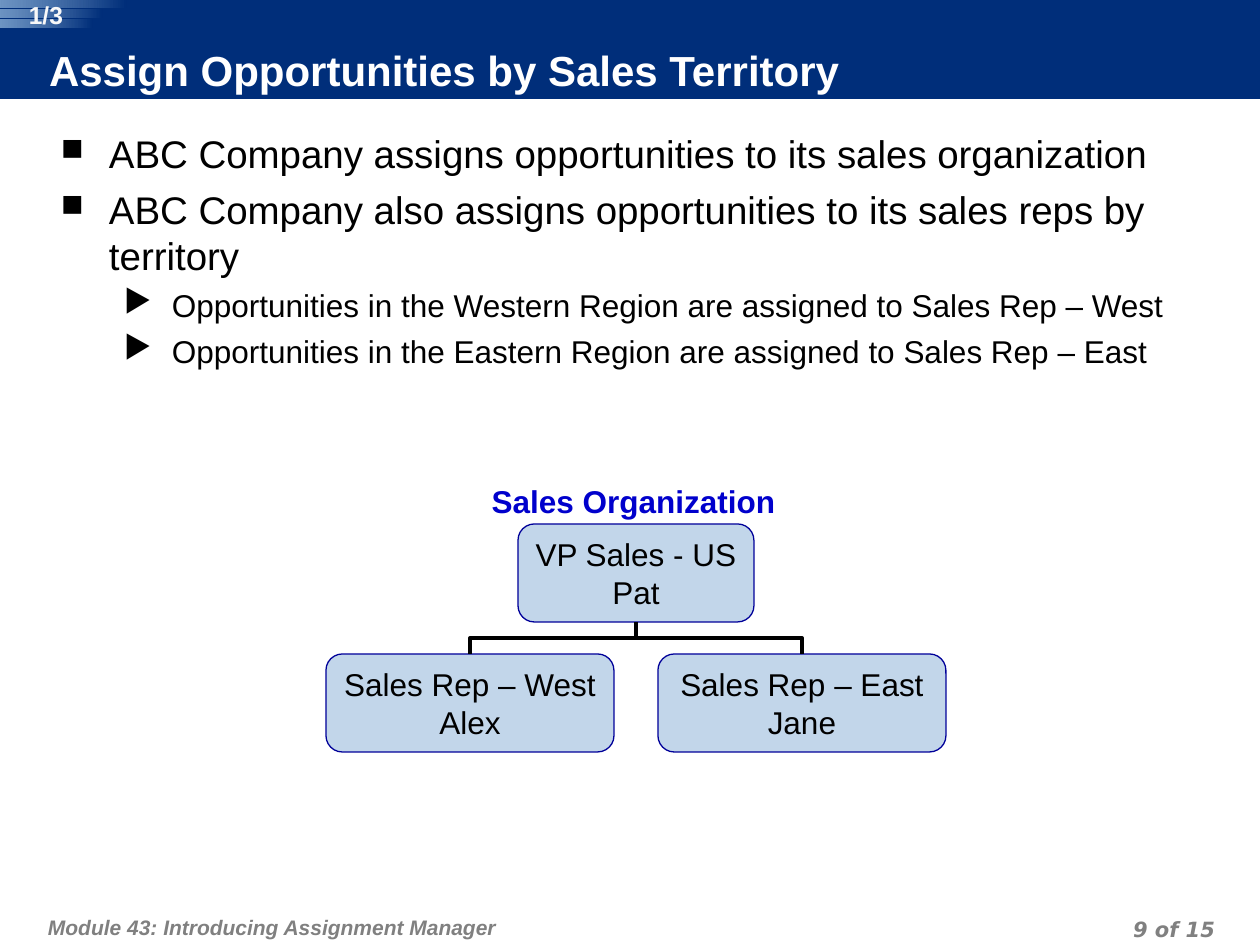
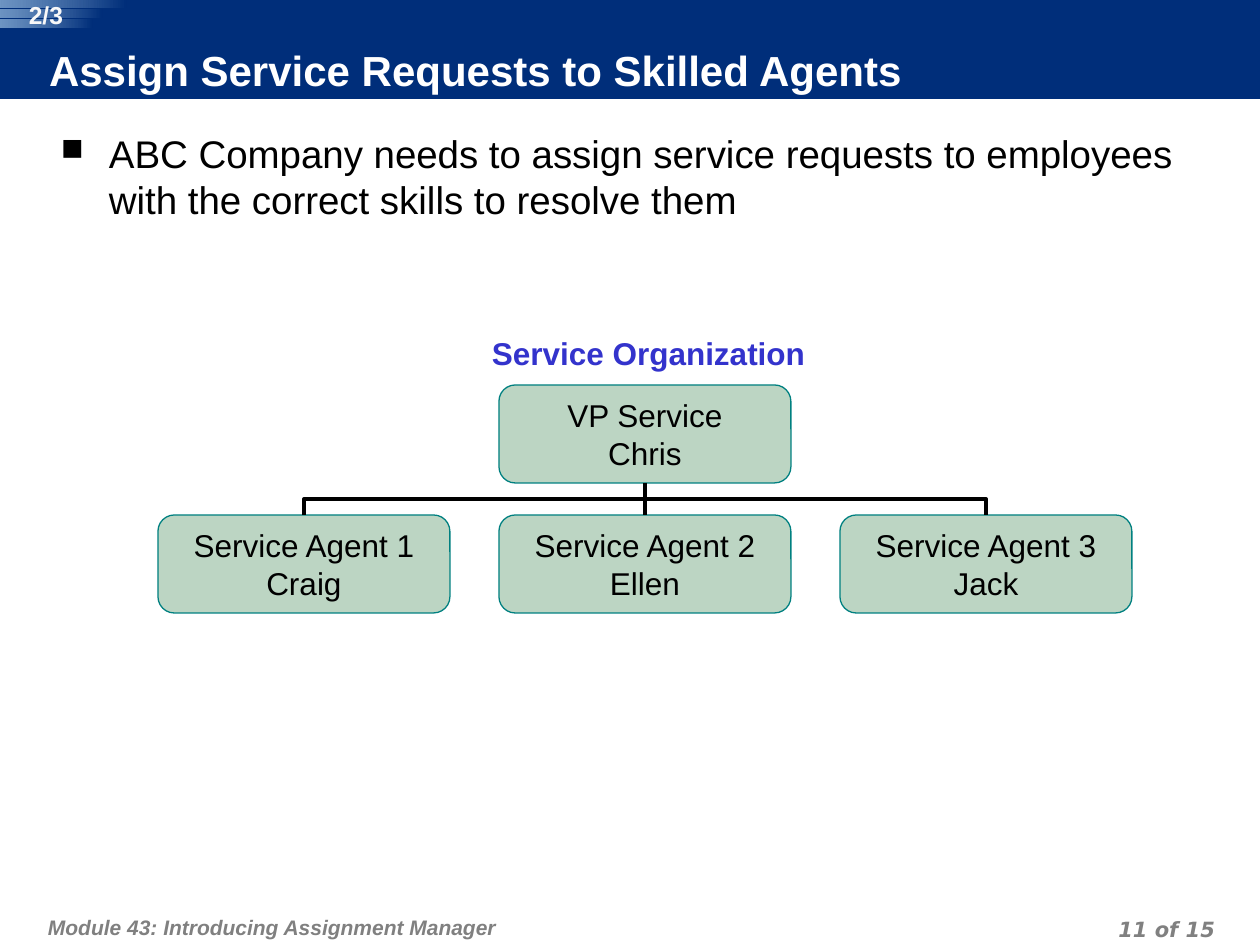
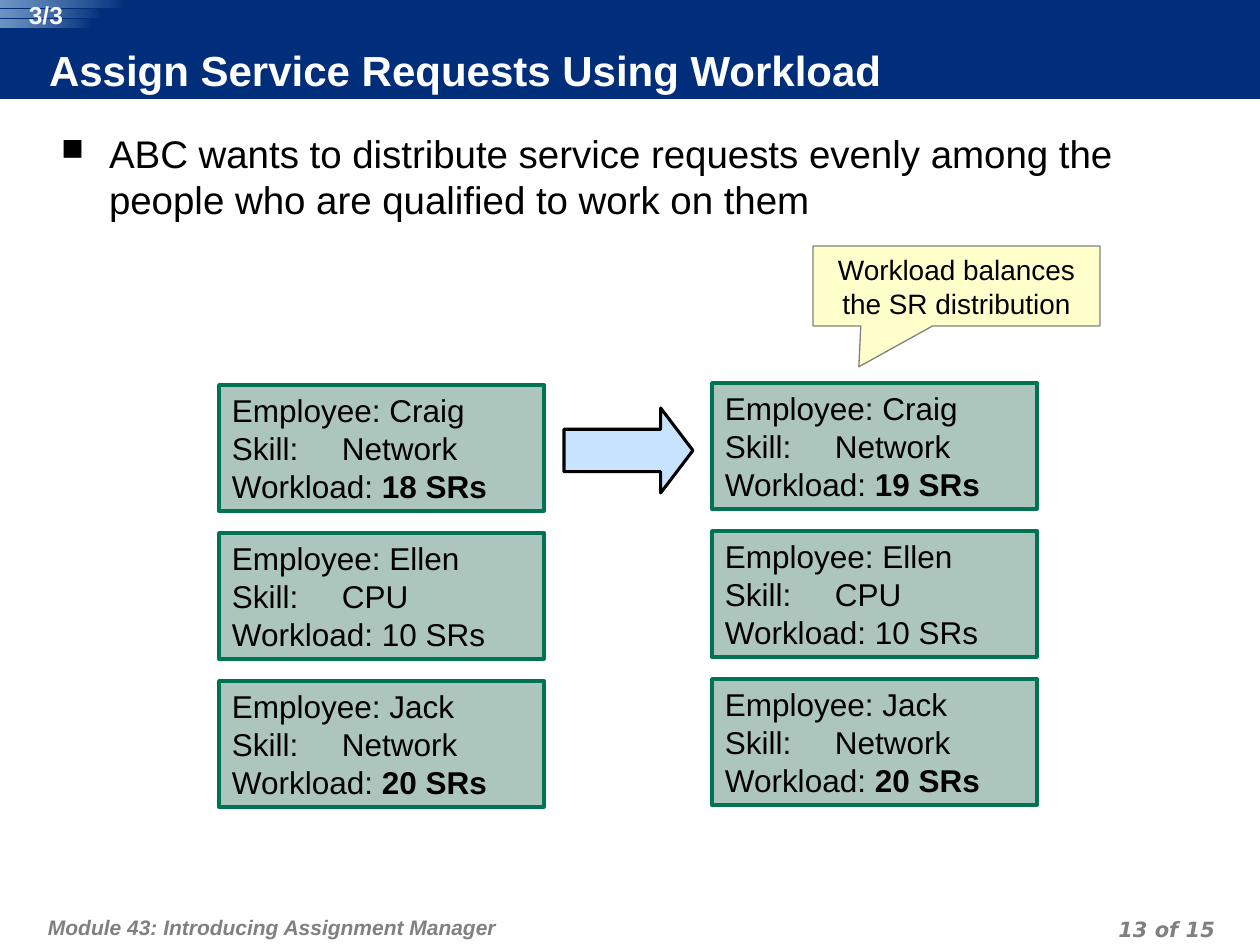
from dataclasses import dataclass

import pptx
import pptx.dml.color
import pptx.enum.shapes
import pptx.enum.text
import pptx.oxml.ns
import pptx.util
from lxml import etree

PX = 914400 / 126  # EMU in one px
SHAPE = pptx.enum.shapes.MSO_SHAPE
LINK = pptx.enum.shapes.MSO_CONNECTOR
ALIGN = pptx.enum.text.PP_ALIGN
ANCHOR = pptx.enum.text.MSO_ANCHOR


@dataclass(frozen=True)
class Theme:
    font: str = "Arial"
    page_font: str = "DejaVu Sans"
    navy: str = "002E7A"
    sky: str = "90B5DA"
    white: str = "FFFFFF"
    counter: str = "F8F8F8"
    black: str = "000000"
    gray: str = "808080"
    sales_line: str = "000099"
    sales_title: str = "0000CC"
    service_fill: str = "85B393"
    service_line: str = "008080"
    service_title: str = "3333CC"
    card_fill: str = "ADC6BD"
    card_line: str = "007352"
    arrow_fill: str = "99CCFF"
    note_fill: str = "FFFFCC"
    title_size: int = 24
    body_size: int = 22
    text_size: int = 18
    note_size: int = 16
    counter_size: int = 14
    footer_size: int = 12


def emu(*lengths):
    return [pptx.util.Emu(round(n * PX)) for n in lengths]


def rgb(code):
    return pptx.dml.color.RGBColor.from_string(code)


def add_xml(parent, tag, **attrs):
    return etree.SubElement(parent, pptx.oxml.ns.qn(tag), attrs)


def set_alpha(sp, code, percent):
    """Make the fill colour `code` of a shape partly transparent."""
    for clr in sp._element.spPr.iter(pptx.oxml.ns.qn("a:srgbClr")):
        if clr.get("val") == code:
            add_xml(clr, "a:alpha", val=str(percent * 1000))


class Deck:
    def __init__(self, theme, total, module):
        self.theme, self.total, self.module = theme, total, module
        self.prs = pptx.Presentation()
        self.prs.slide_width, self.prs.slide_height = emu(1260, 945)
        self.slide = None

    # Shared frame: band, title, corner strips, footers
    def new_slide(self, title, counter, page):
        t = self.theme
        self.slide = self.prs.slides.add_slide(self.prs.slide_layouts[5])
        band = self.shape(SHAPE.RECTANGLE, (0, 0, 1260, 99), t.navy)
        sp = self.slide.shapes.title
        sp._element.addprevious(band._element)
        sp.left, sp.top, sp.width, sp.height = emu(49, 48, 1155, 50)
        self.frame(sp, (0, 0, 6, 6), ANCHOR.MIDDLE)
        self.put_lines(sp, [title], t.title_size, t.white, bold=True)

        for row, width in enumerate((127, 103, 92)):
            sp = self.shape(SHAPE.RECTANGLE, (0, 10 * row, width, 8))
            sp.fill.gradient()
            sp.fill.gradient_angle = 180
            for stop, code in zip(sp.fill.gradient_stops, (t.navy, t.sky)):
                stop.color.rgb = rgb(code)
            set_alpha(sp, t.sky, 76)
        self.text((14, 0, 64, 29), counter, t.counter_size, t.counter,
                  insets=(0, 0, 0, 0), align=ALIGN.CENTER, bold=True)

        for box, words, insets, align, font in (
                ((42, 895, 779, 50), self.module, (6, 13, 6, 6), ALIGN.LEFT, t.font),
                ((927, 910, 294, 32), f"{page} of {self.total}", (6, 0, 6, 0),
                 ALIGN.RIGHT, t.page_font)):
            sp = self.text(box, words, t.footer_size, t.gray, insets=insets,
                           align=align, font=font, bold=True, italic=True)
            sp.text_frame.paragraphs[0].line_spacing = pptx.util.Pt(18)

    # Text
    def frame(self, sp, insets=(13, 6, 13, 6), anchor=ANCHOR.TOP, wrap=True):
        tf = sp.text_frame
        tf.auto_size = pptx.enum.text.MSO_AUTO_SIZE.NONE
        tf.word_wrap, tf.vertical_anchor = wrap, anchor
        (tf.margin_left, tf.margin_top,
         tf.margin_right, tf.margin_bottom) = emu(*insets)

    def style(self, p, size, color, align=ALIGN.LEFT, font=None, bold=False,
              italic=False):
        p.alignment = align
        p.font.name = font or self.theme.font
        p.font.size = pptx.util.Pt(size)
        p.font.bold, p.font.italic = bold, italic
        p.font.color.rgb = rgb(color)

    def put_lines(self, sp, lines, size, color, **style):
        tf = sp.text_frame
        for i, line in enumerate(lines):
            p = tf.add_paragraph() if i else tf.paragraphs[0]
            p.add_run().text = line
            self.style(p, size, color, **style)

    def text(self, box, words, size, color, insets=(13, 6, 13, 6), **style):
        sp = self.slide.shapes.add_textbox(*emu(*box))
        self.frame(sp, insets)
        self.put_lines(sp, [words], size, color, **style)
        return sp

    def body(self, items, width=1170, height=295):
        """Bulleted text; items are (level, words)."""
        t = self.theme
        levels = (("■", 80, 48, t.body_size, 5.5),
                  ("▶", 100, 111, t.text_size, 4.5))
        sp = self.slide.shapes.add_textbox(*emu(48, 117, width, height))
        self.frame(sp, (13, 13, 13, 6))
        tf = sp.text_frame
        for i, (level, words) in enumerate(items):
            mark, percent, margin, size, before = levels[level]
            p = tf.add_paragraph() if i else tf.paragraphs[0]
            p.level = level
            pPr = p._p.get_or_add_pPr()
            pPr.set("marL", str(emu(margin)[0]))
            pPr.set("indent", str(emu(-48)[0]))
            add_xml(add_xml(pPr, "a:buClr"), "a:srgbClr", val=t.black)
            add_xml(pPr, "a:buSzPct", val=str(percent * 1000))
            add_xml(pPr, "a:buChar", char=mark)
            if i:
                p.space_before = pptx.util.Pt(before)
            p.add_run().text = words
            self.style(p, size, t.black)

    # Shapes and lines
    def shape(self, kind, box, fill=None, line=None, weight=0.75, alpha=None):
        sp = self.slide.shapes.add_shape(kind, *emu(*box))
        sp.shadow.inherit = False
        if fill:
            sp.fill.solid()
            sp.fill.fore_color.rgb = rgb(fill)
        if alpha:
            set_alpha(sp, fill, alpha)
        if line:
            sp.line.color.rgb = rgb(line)
            sp.line.width = pptx.util.Pt(weight)
        else:
            sp.line.fill.background()
        return sp

    def connector(self, kind, *ends):
        c = self.slide.shapes.add_connector(kind, *emu(*ends))
        c.line.color.rgb = rgb(self.theme.black)
        c.line.width = pptx.util.Pt(2.25)
        add_xml(c._element.spPr, "a:effectLst")
        return c

    def node(self, center, top, width, lines, fill, line):
        sp = self.shape(SHAPE.ROUNDED_RECTANGLE,
                        (center - width / 2, top, width, 98), fill, line, alpha=55)
        self.frame(sp, anchor=ANCHOR.MIDDLE, wrap=False)
        self.put_lines(sp, lines, self.theme.text_size, self.theme.black,
                       align=ALIGN.CENTER)
        return sp

    def elbow(self, x1, y1, x2, y2):
        """Down, across, down: a bent connector turned by a quarter."""
        mid_x, mid_y = (x1 + x2) / 2, (y1 + y2) / 2
        half_w, half_h = (y2 - y1) / 2, abs(x2 - x1) / 2
        side = 1 if x2 > x1 else -1
        c = self.connector(LINK.ELBOW, mid_x + side * half_w, mid_y - half_h,
                           mid_x - side * half_w, mid_y + half_h)
        c.rotation = 270 if side > 0 else 90

    def org_chart(self, center, top, root_width, width, pitch, root, reports,
                  fill, line):
        bottom, row = top + 98, top + 130
        boss = self.node(center, top, root_width, root, fill, line)
        for i, lines in enumerate(reports):
            x = center + (i - (len(reports) - 1) / 2) * pitch
            sp = self.node(x, row, width, lines, fill, line)
            if x == center:
                c = self.connector(LINK.STRAIGHT, x, bottom, x, row)
                c.begin_connect(boss, 2)
                c.end_connect(sp, 0)
            else:
                self.elbow(center, bottom, x, row)

    def heading(self, box, words, color):
        self.text(box, words, self.theme.text_size, color, align=ALIGN.CENTER,
                  bold=True)

    def card(self, x, y, name, skill, load, strong):
        t = self.theme
        sp = self.shape(SHAPE.RECTANGLE, (x, y, 325, 126), t.card_fill,
                        t.card_line, 2)
        self.frame(sp)
        tf = sp.text_frame
        rows = (f"Employee: {name}", f"Skill:\t{skill}", "Workload: ")
        for i, words in enumerate(rows):
            p = tf.add_paragraph() if i else tf.paragraphs[0]
            tabs = add_xml(p._p.get_or_add_pPr(), "a:tabLst")
            add_xml(tabs, "a:tab", pos=str(emu(110)[0]), algn="l")
            p.add_run().text = words
            self.style(p, t.text_size, t.black)
        r = p.add_run()
        r.text = f"{load} SRs"
        r.font.bold = strong


def main():
    t = Theme()
    deck = Deck(t, 15, "Module 43: Introducing Assignment Manager")

    # Sales territory
    deck.new_slide("Assign Opportunities by Sales Territory", "1/3", 9)
    deck.body([
        (0, "ABC Company assigns opportunities to its sales organization"),
        (0, "ABC Company also assigns opportunities to its sales reps by territory"),
        (1, "Opportunities in the Western Region are assigned to Sales Rep – West"),
        (1, "Opportunities in the Eastern Region are assigned to Sales Rep – East"),
    ], height=779)
    deck.org_chart(636, 524, 236, 288, 332, ("VP Sales - US", "Pat"),
                   (("Sales Rep – West", "Alex"), ("Sales Rep – East", "Jane")),
                   t.sky, t.sales_line)
    deck.heading((478, 476, 311, 50), "Sales Organization", t.sales_title)

    # Skilled agents
    deck.new_slide("Assign Service Requests to Skilled Agents", "2/3", 11)
    deck.body([(0, "ABC Company needs to assign service requests to employees "
                   "with the correct skills to resolve them")])
    agents = [(f"Service Agent {i}", name)
              for i, name in enumerate(("Craig", "Ellen", "Jack"), 1)]
    deck.org_chart(645, 385, 292, 292, 341, ("VP Service", "Chris"), agents,
                   t.service_fill, t.service_line)
    deck.heading((449, 328, 399, 50), "Service Organization", t.service_title)

    # Workload before and after
    deck.new_slide("Assign Service Requests Using Workload", "3/3", 13)
    deck.body([(0, "ABC wants to distribute service requests evenly among the "
                   "people who are qualified to work on them")],
              width=1125, height=742)
    for x, top, craig_load in ((219, 385, 18), (712, 383, 19)):
        staff = (("Craig", "Network", craig_load, True),
                 ("Ellen", "CPU", 10, False),
                 ("Jack", "Network", 20, True))
        for i, person in enumerate(staff):
            deck.card(x, top + 148 * i, *person)
    arrow = deck.shape(SHAPE.RIGHT_ARROW, (564, 408, 129, 85), t.arrow_fill,
                       t.black, 1.75, alpha=55)
    arrow.adjustments[1] = 0.38
    note = deck.shape(SHAPE.RECTANGULAR_CALLOUT, (813, 246, 287, 80),
                      t.note_fill, t.gray)
    note.adjustments[0], note.adjustments[1] = -0.34, 1.01
    deck.frame(note, anchor=ANCHOR.MIDDLE)
    deck.put_lines(note, ["Workload balances the SR distribution"], t.note_size,
                   t.black, align=ALIGN.CENTER)

    deck.prs.save("out.pptx")


if __name__ == "__main__":
    main()
